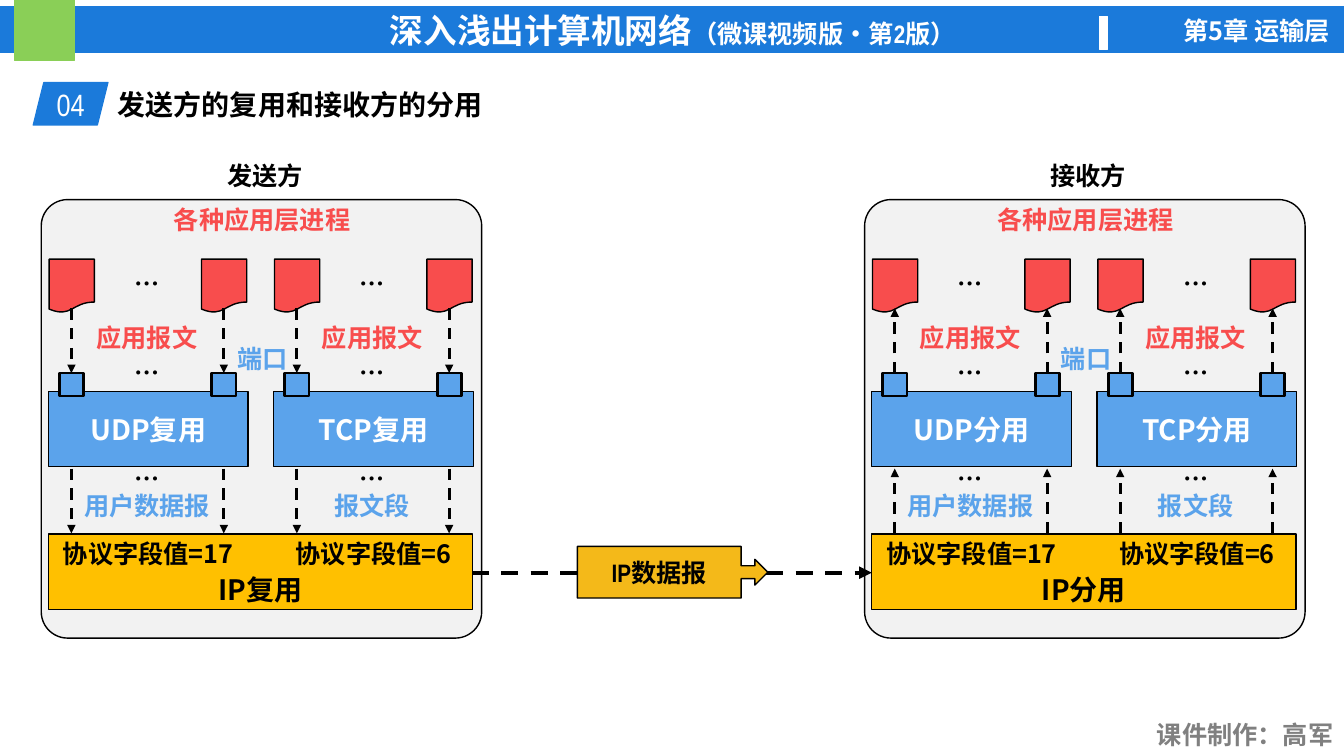
from lxml.etree import SubElement
from pptx import Presentation
from pptx.dml.color import RGBColor
from pptx.enum.dml import MSO_LINE
from pptx.enum.shapes import MSO_CONNECTOR, MSO_SHAPE as Kind
from pptx.enum.text import MSO_ANCHOR, PP_ALIGN as Align
from pptx.oxml.ns import qn
from pptx.util import Cm, Pt

BLUE = RGBColor(0x1B, 0x7A, 0xDA)
SKY = RGBColor(0x5B, 0xA3, 0xEB)
GREEN = RGBColor(0x8A, 0xCF, 0x57)
RED = RGBColor(0xF8, 0x4D, 0x4D)
GOLD = RGBColor(0xFF, 0xC0, 0x00)
AMBER = RGBColor(0xF4, 0xB9, 0x19)
PALE = RGBColor(0xF2, 0xF2, 0xF2)
GRAY = RGBColor(0x80, 0x80, 0x80)
WHITE = RGBColor(0xFF, 0xFF, 0xFF)
BLACK = RGBColor(0, 0, 0)
SANS = "Noto Sans CJK SC"
NARROW = "Arial Narrow"

deck = Presentation()
deck.slide_width, deck.slide_height = Cm(33.87), Cm(19.05)
shapes = deck.slides.add_slide(deck.slide_layouts[6]).shapes


def put(at, text="", size=18, color=BLACK, font=SANS, align=Align.CENTER,
        bold=True, kind=None, fill=None, edge=BLACK, width=1):
    """Add a text box, or a filled shape when kind is given."""
    spot = [Cm(n) for n in at]
    if kind is None:
        item = shapes.add_textbox(*spot)
    else:
        item = shapes.add_shape(kind, *spot)
        item.shadow.inherit = False
        item.fill.solid()
        item.fill.fore_color.rgb = fill
        item.line.color.rgb = edge
        item.line.width = Pt(width)
    frame = item.text_frame
    frame.word_wrap = True
    if kind is not None:
        frame.vertical_anchor = MSO_ANCHOR.MIDDLE
        frame.margin_left = frame.margin_right = 0
    if text:
        par = frame.paragraphs[0]
        par.text = text
        par.alignment = align
        par.font.size = Pt(size)
        par.font.bold = bold
        par.font.color.rgb = color
        par.font.name = font
        props = par._p.find(".//" + qn("a:defRPr"))
        SubElement(props, qn("a:ea")).set("typeface", SANS)
    return item


def arrow(x1, y1, x2, y2, width=2):
    """Add a dashed line with an arrowhead at its end."""
    line = shapes.add_connector(
        MSO_CONNECTOR.STRAIGHT, Cm(x1), Cm(y1), Cm(x2), Cm(y2))
    line.line.color.rgb = BLACK
    line.line.width = Pt(width)
    line.line.dash_style = MSO_LINE.DASH
    props = line._element.spPr
    SubElement(props.find(qn("a:ln")), qn("a:tailEnd")).set("type", "triangle")
    SubElement(props, qn("a:effectLst"))


# Header and footer
banner = put((0, 0.18, 33.91, 1.14), "深入浅出计算机网络", 24, WHITE, NARROW,
             kind=Kind.RECTANGLE, fill=BLUE, edge=BLUE)
issue = banner.text_frame.paragraphs[0].add_run()
issue.text = "（微课视频版•第2版）"
issue.font.size = Pt(18)
put((0.36, 0, 1.52, 1.52), kind=Kind.RECTANGLE, fill=GREEN, edge=GREEN)
put((27.71, 0.41, 0.2, 0.84), kind=Kind.RECTANGLE, fill=WHITE, edge=WHITE)
put((28.22, 0.25, 5.54, 1.02), "第5章 运输层", color=WHITE, align=Align.RIGHT)
put((28.8, 18.01, 5.05, 1.02), "课件制作：高军", color=GRAY, font=NARROW,
    align=Align.RIGHT)

# Section title
put((0.84, 2.08, 1.88, 1.07), "04", 22, WHITE, NARROW, bold=False,
    kind=Kind.PARALLELOGRAM, fill=BLUE, edge=BLUE)
put((2.72, 2.08, 15.32, 1.12), "发送方的复用和接收方的分用", 20, font=NARROW,
    align=Align.LEFT)

# Sender and receiver
STACKS = [("UDP", "用户数据报", 17), ("TCP", "报文段", 6)]
HOPS = [(7.77, 9.4), (11.81, 13.44)]
for left, side, act, down in [(1.04, "发送方", "复用", True),
                              (21.79, "接收方", "分用", False)]:
    panel = put((left, 5.03, 11.1, 11.05), kind=Kind.ROUNDED_RECTANGLE,
                fill=PALE)
    panel.adjustments[0] = 0.06
    put((left + 4.29, 3.91, 2.69, 1.02), side)
    put((left + 2.77, 5.03, 5.59, 1.02), "各种应用层进程", color=RED)
    layer = put((left + 0.18, 13.46, 10.69, 1.9), "IP" + act, 20,
                kind=Kind.RECTANGLE, fill=GOLD)
    layer.text_frame.margin_top = Cm(0.86)
    layer.text_frame.margin_bottom = 0

    for col, (name, unit, code) in enumerate(STACKS):
        x = left + 0.18 + 5.68 * col
        put((x, 9.86, 5.03, 1.9), name + act, 20, WHITE,
            kind=Kind.RECTANGLE, fill=SKY)
        for end in range(2):
            shift = x + 3.84 * end
            put((shift + 0.02, 6.53, 1.14, 1.35),
                kind=Kind.FLOWCHART_DOCUMENT, fill=RED)
            put((shift + 0.28, 9.4, 0.61, 0.58), kind=Kind.RECTANGLE,
                fill=SKY, width=2)
            for top, base in HOPS:
                start, stop = (top, base) if down else (base, top)
                arrow(shift + 0.58, start, shift + 0.58, stop)
        for y in (6.63, 8.89, 11.56):
            put((x + 1.85, y, 1.27, 1.02), "…")
        put((x + 0.43, 8, 4.11, 1.02), "应用报文", color=RED)
        put((x + 0.43, 12.24, 4.11, 1.02), unit, color=SKY)
        put((x, 13.44, 5.03, 1.02), f"协议字段值={code}")
    put((left + 4.55, 8.53, 2.06, 1.02), "端口", color=SKY)

# Datagram on its way
arrow(11.89, 14.43, 21.97, 14.43, 3)
packet = put((14.55, 13.77, 4.8, 1.3), "IP数据报", font=NARROW,
             kind=Kind.RIGHT_ARROW_CALLOUT, fill=AMBER)
for i, part in enumerate((0.25, 0.25, 0.25, 0.86)):
    packet.adjustments[i] = part

deck.save("out.pptx")
